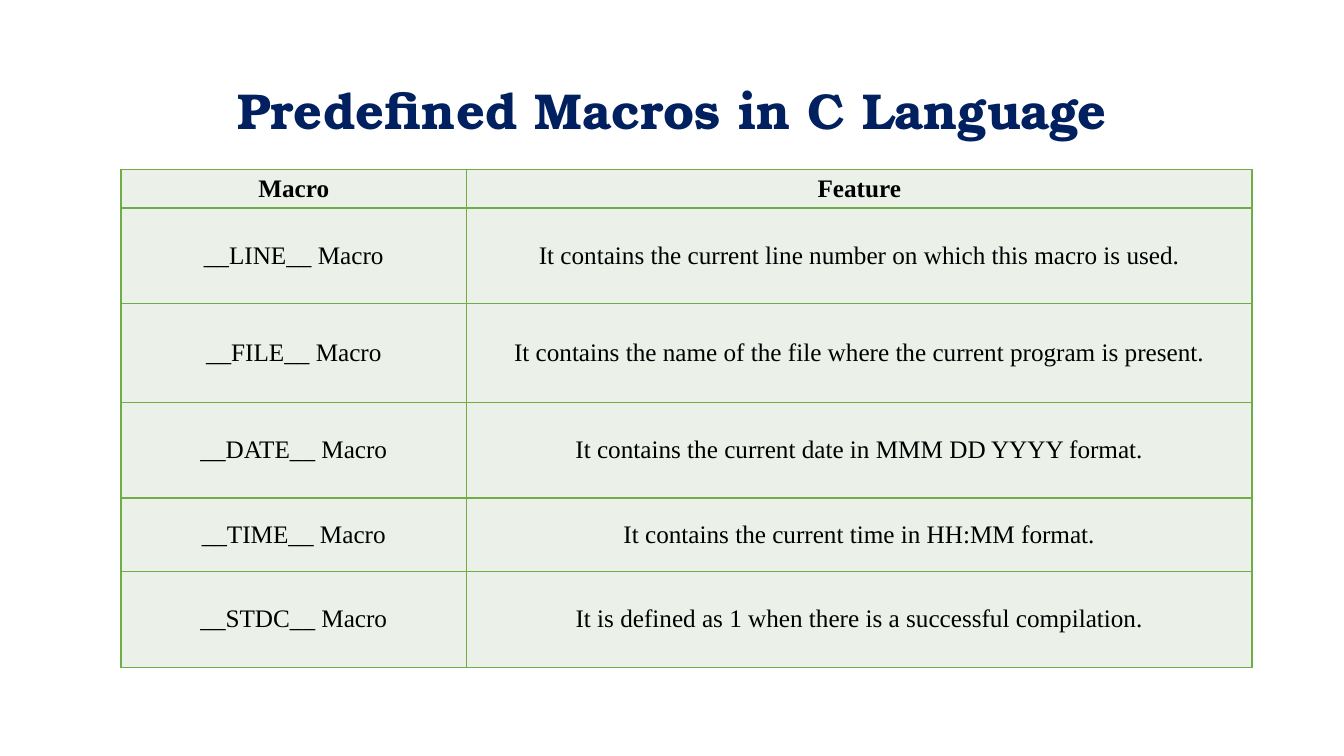
"""Build a slide with a table of the predefined macros in C."""
import pptx
import pptx.dml.color
import pptx.enum.text
import pptx.oxml
import pptx.oxml.ns
import pptx.util

Cm = pptx.util.Cm
CENTER = pptx.enum.text.PP_ALIGN.CENTER
MIDDLE = pptx.enum.text.MSO_ANCHOR.MIDDLE
BORDER = "70AD47"
CELL_FILL = "EBF1E9"


def rgb(value):
    return pptx.dml.color.RGBColor.from_string(value)


def write(p, text, color, **fmt):
    p.alignment = CENTER
    r = p.add_run()
    r.text = text
    r.font.color.rgb = rgb(color)
    for name, value in fmt.items():
        setattr(r.font, name, value)


prs = pptx.Presentation()
prs.slide_width, prs.slide_height = Cm(33.87), Cm(19.05)
slide = prs.slides.add_slide(prs.slide_layouts[6])

sp = slide.shapes.add_textbox(Cm(2.34), Cm(1.02), Cm(29.21), Cm(3.68))
tf = sp.text_frame
tf.word_wrap = True
tf.vertical_anchor = MIDDLE
tf.paragraphs[0].line_spacing = 0.9
write(tf.paragraphs[0], "Predefined Macros in C Language", "002060",
      name="TeX Gyre Bonum", size=pptx.util.Pt(36), bold=True)

rows = [
    ("Macro", "Feature"),
    ("__LINE__ Macro", "It contains the current line number on which this macro is used."),
    ("__FILE__ Macro", "It contains the name of the file where the current program is present."),
    ("__DATE__ Macro", "It contains the current date in MMM DD YYYY format."),
    ("__TIME__ Macro", "It contains the current time in HH:MM format."),
    ("__STDC__ Macro", "It is defined as 1 when there is a successful compilation."),
]
widths = [8.71, 19.79]
heights = [0.97, 2.41, 2.49, 2.41, 1.85, 2.41]
cell_format = {
    "vertical_anchor": MIDDLE,
    "margin_left": Cm(0.18),
    "margin_right": Cm(0.18),
    "margin_top": Cm(0.1),
    "margin_bottom": Cm(0.1),
}

table = slide.shapes.add_table(len(rows), len(widths), Cm(3.05), Cm(4.27),
                               Cm(sum(widths)), Cm(sum(heights))).table
for col, width in zip(table.columns, widths):
    col.width = Cm(width)
for i, (texts, height) in enumerate(zip(rows, heights)):
    table.rows[i].height = Cm(height)
    for j, text in enumerate(texts):
        cell = table.cell(i, j)
        for name, value in cell_format.items():
            setattr(cell, name, value)
        tcPr = cell._tc.get_or_add_tcPr()
        for side in "LRTB":
            tcPr.append(pptx.oxml.parse_xml(
                f'<a:ln{side} {pptx.oxml.ns.nsdecls("a")} w="12700"><a:solidFill>'
                f'<a:srgbClr val="{BORDER}"/></a:solidFill></a:ln{side}>'))
        cell.fill.solid()
        cell.fill.fore_color.rgb = rgb(CELL_FILL)
        write(cell.text_frame.paragraphs[0], text, "000000",
              name="Times New Roman", size=pptx.util.Pt(18), bold=i == 0)

prs.save("out.pptx")
